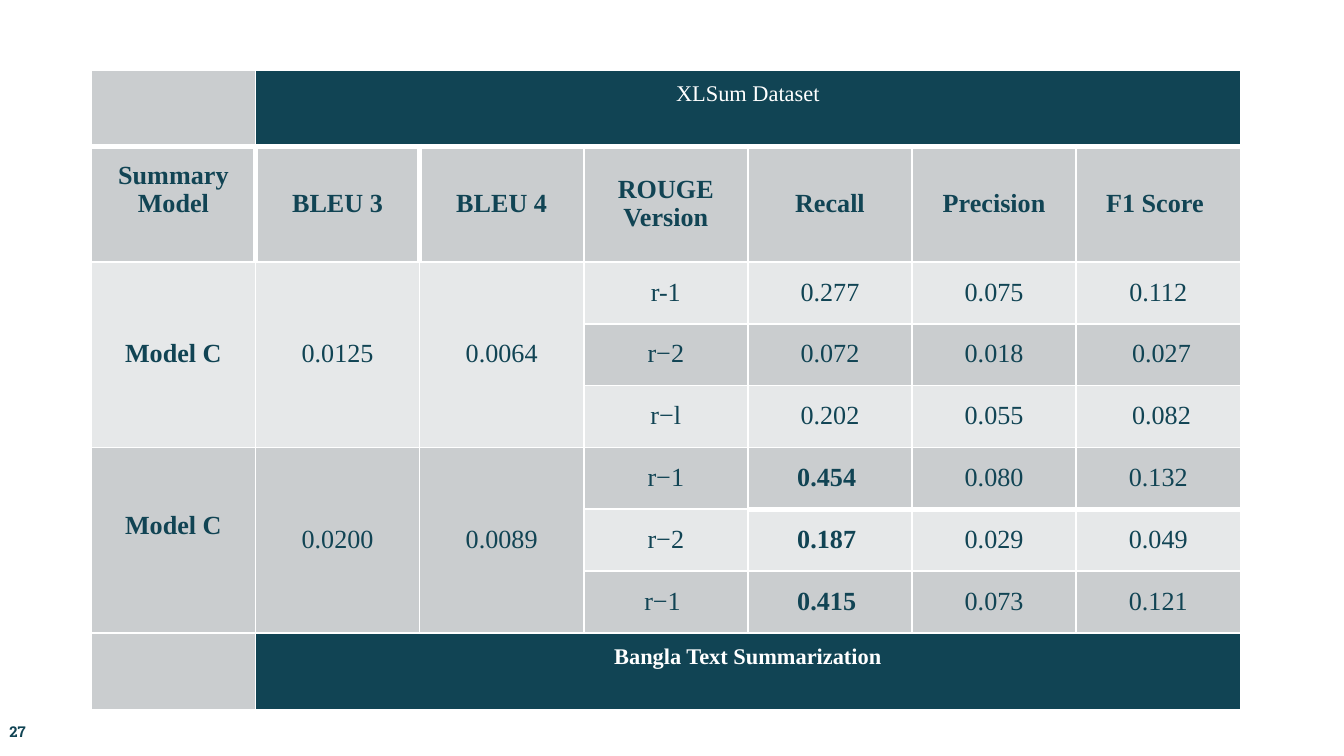
from lxml import etree
from pptx import Presentation
from pptx.dml.color import RGBColor
from pptx.enum.text import MSO_ANCHOR, PP_ALIGN
from pptx.oxml.ns import qn
from pptx.util import Inches, Pt

CENTER, MIDDLE = PP_ALIGN.CENTER, MSO_ANCHOR.MIDDLE
TEAL = RGBColor(0x11, 0x44, 0x54)
GREY = RGBColor(0xCA, 0xCD, 0xCF)
PALE = RGBColor(0xE6, 0xE8, 0xE9)
WHITE = RGBColor(0xFF, 0xFF, 0xFF)

ROWS = [
    ["", "XLSum Dataset"],
    ["Summary Model", "BLEU 3", "BLEU 4", "ROUGE Version", "Recall", "Precision", "F1 Score "],
    ["Model C", "0.0125", "0.0064", "r-1", "0.277", "0.075", "0.112"],
    ["", "", "", "r−2", "0.072", "0.018", " 0.027"],
    ["", "", "", "r−l", "0.202", "0.055", " 0.082"],
    ["Model C", "0.0200", "0.0089", "r−1", "0.454 ", "0.080", "0.132"],
    ["", "", "", "r−2", "0.187 ", "0.029", "0.049"],
    ["", "", "", "r−1 ", "0.415 ", "0.073", "0.121"],
    ["", "Bangla Text Summarization"],
]
HEIGHTS = [0.57, 0.86] + [0.46] * 6 + [0.57]
COLS, LAST = 7, len(ROWS) - 1
BANNERS = (0, LAST)
GROUPS = (2, 5)
RAISED = {(0, 1), (1, 0), (5, 0), (LAST, 1)}
THICK_BELOW = {(0, c) for c in range(COLS)} | {(5, c) for c in range(4, COLS)}
THICK_RIGHT = {(1, 0), (1, 1)}


def set_borders(cell, r, c):
    thick = {
        "a:lnL": (r, c - 1) in THICK_RIGHT,
        "a:lnR": (r, c) in THICK_RIGHT,
        "a:lnT": (r - 1, c) in THICK_BELOW,
        "a:lnB": (r, c) in THICK_BELOW,
    }
    tcPr = cell._tc.get_or_add_tcPr()
    for tag, wide in thick.items():
        ln = etree.SubElement(tcPr, qn(tag), w=str(Pt(3 if wide else 1)))
        fill = etree.SubElement(ln, qn("a:solidFill"))
        etree.SubElement(fill, qn("a:srgbClr"), val=str(WHITE))


def style(p, font, size, color, bold):
    p.alignment = CENTER
    p.font.name, p.font.size, p.font.bold = font, Pt(size), bold
    p.font.color.rgb = color


def cell_fill(r, c):
    if r in BANNERS:
        return TEAL if c else GREY
    if r == 1:
        return GREY
    if c < 3:
        return PALE if r < GROUPS[1] else GREY
    return GREY if r % 2 else PALE


prs = Presentation()
prs.slide_width = Inches(10)
prs.slide_height = prs.slide_width * 9 // 16
s = prs.slides.add_slide(prs.slide_layouts[6])

table = s.shapes.add_table(len(ROWS), COLS, Inches(0.68), Inches(0.52),
                           Inches(8.55), Inches(sum(HEIGHTS))).table
for row, height in zip(table.rows, HEIGHTS):
    row.height = Inches(height)

for r, texts in enumerate(ROWS):
    for c in range(COLS):
        cell = table.cell(r, c)
        set_borders(cell, r, c)
        cell.fill.solid()
        cell.fill.fore_color.rgb = cell_fill(r, c)
        cell.vertical_anchor = MIDDLE
        cell.margin_bottom = Inches(0.26 if (r, c) in RAISED else 0.05)
        p = cell.text_frame.paragraphs[0]
        p.text = texts[c] if c < len(texts) else ""
        if r in BANNERS:
            style(p, "Times New Roman", 12, WHITE, r == LAST)
        else:
            bold = r == 1 or c == 0 or (c == 4 and r >= GROUPS[1])
            style(p, "Times New Roman", 14, TEAL, bold)
            p.line_spacing = 0.95

for r in BANNERS:
    table.cell(r, 1).merge(table.cell(r, COLS - 1))
for r in GROUPS:
    for c in range(3):
        table.cell(r, c).merge(table.cell(r + 2, c))

number = s.shapes.add_textbox(Inches(-0.06), Inches(5.27), Inches(0.38), Inches(0.35))
tf = number.text_frame
tf.word_wrap = True
tf.vertical_anchor = MIDDLE
tf.margin_left = tf.margin_right = tf.margin_top = tf.margin_bottom = Inches(0.1)
p = tf.paragraphs[0]
p.text = "27"
style(p, "Roboto Slab", 8, TEAL, True)

prs.save("out.pptx")
